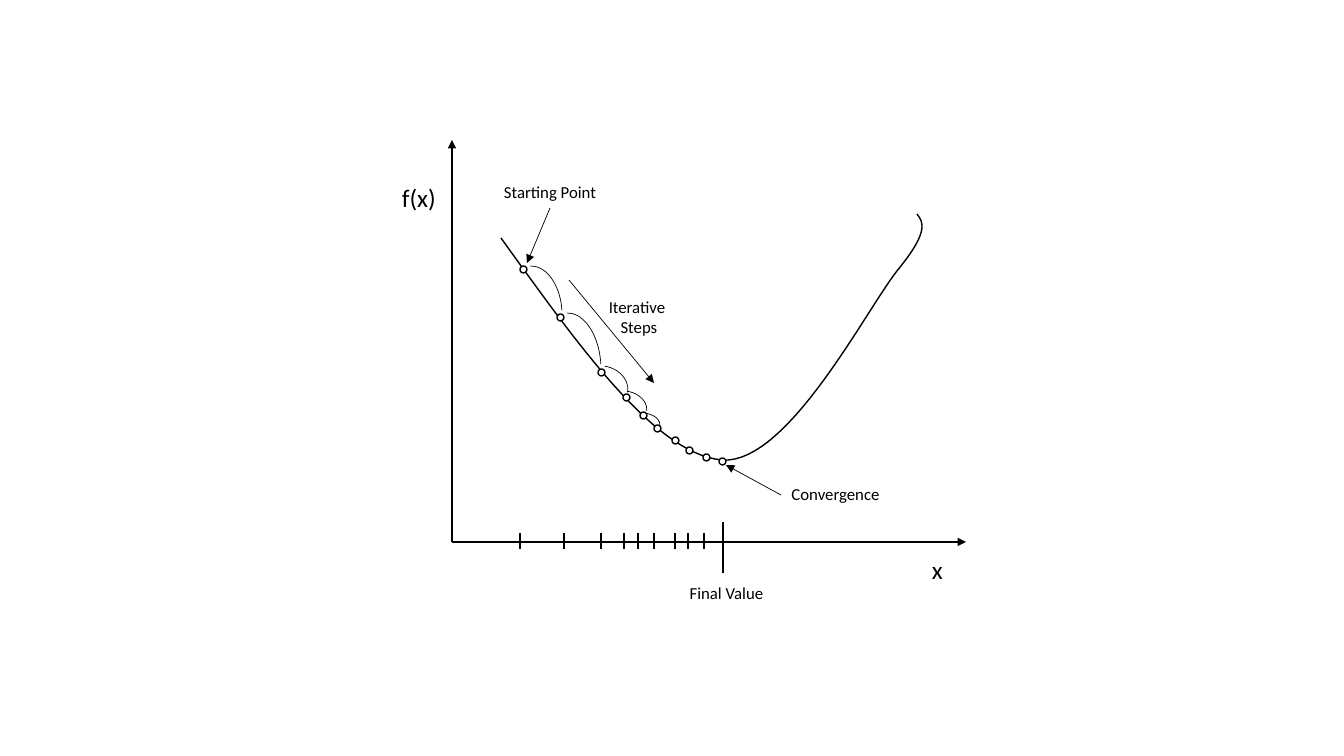
import pptx
import pptx.dml.color
import pptx.enum.shapes
import pptx.enum.text
import pptx.oxml
import pptx.oxml.ns
import pptx.util

PX = 914400 / 100.8  # EMU in one px
BLACK, WHITE = "000000", "FFFFFF"
SHAPE = pptx.enum.shapes.MSO_SHAPE

# Cubic curve: start point, then two controls and an end per segment
CURVE_START = (501, 238)
CURVE_SEGMENTS = [
    ((579, 346), (655, 454), (722, 460)),
    ((787, 465), (865, 312), (897, 271)),
    ((930, 231), (923, 222), (917, 214)),
]
STEP_POINTS = [(520, 266), (557, 314), (598, 369), (623, 394), (640, 412),
               (654, 425), (672, 437), (686, 447), (703, 454), (719, 458)]
STEP_ARCS = [(504, 266, 58, 92, -3.3), (539, 313, 62, 106, -3.3),
             (575, 366, 53, 45, 8.7), (602, 391, 45, 33, 8.7),
             (628, 413, 32, 19, 8.7)]
TICKS = [520, 564, 601, 624, 638, 654, 675, 688, 704]


def px(n):
    return pptx.util.Emu(round(n * PX))


def color(value):
    return pptx.dml.color.RGBColor.from_string(value)


def set_line(sp, width):
    sp.line.color.rgb = color(BLACK)
    sp.line.width = pptx.util.Pt(width)


def add_line(slide, x1, y1, x2, y2, width=1, arrow=False):
    kind = pptx.enum.shapes.MSO_CONNECTOR.STRAIGHT
    line = slide.shapes.add_connector(kind, px(x1), px(y1), px(x2), px(y2))
    set_line(line, width)
    if arrow:
        pptx.oxml.ns.qn("a:tailEnd")
        tail = line.line._get_or_add_ln().makeelement(
            pptx.oxml.ns.qn("a:tailEnd"), {"type": "triangle"})
        line.line._get_or_add_ln().append(tail)
    sppr = line._element.spPr
    sppr.append(sppr.makeelement(pptx.oxml.ns.qn("a:effectLst"), {}))


def add_outline(slide, kind, x, y, w, h, width=1, fill=None, rotation=0):
    sp = slide.shapes.add_shape(kind, px(x), px(y), px(w), px(h))
    sp.shadow.inherit = False
    sp.rotation = rotation
    set_line(sp, width)
    if fill:
        sp.fill.solid()
        sp.fill.fore_color.rgb = color(fill)
    else:
        sp.fill.background()


def add_text(slide, text, x, y, w, h, size=12, align="CENTER"):
    tf = slide.shapes.add_textbox(px(x), px(y), px(w), px(h)).text_frame
    tf.word_wrap = False
    tf.auto_size = pptx.enum.text.MSO_AUTO_SIZE.SHAPE_TO_FIT_TEXT
    for i, row in enumerate(text.split("\n")):
        p = tf.add_paragraph() if i else tf.paragraphs[0]
        p.alignment = getattr(pptx.enum.text.PP_ALIGN, align)
        r = p.add_run()
        r.text = row
        r.font.name = "Calibri"
        r.font.size = pptx.util.Pt(size)
        r.font.color.rgb = color(BLACK)


def bezier(points, t):
    weights = ((1 - t) ** 3, 3 * t * (1 - t) ** 2, 3 * t * t * (1 - t), t ** 3)
    return tuple(px(sum(k * c for k, c in zip(weights, axis)))
                 for axis in zip(*points))


def add_curve(slide, start, segments, steps=30):
    builder = slide.shapes.build_freeform(px(start[0]), px(start[1]))
    for segment in segments:
        points = (start, *segment)
        builder.add_line_segments(
            [bezier(points, i / steps) for i in range(1, steps + 1)], close=False)
        start = segment[-1]
    sp = builder.convert_to_shape()
    sp.shadow.inherit = False
    sp.fill.solid()
    sp.fill.fore_color.rgb = color(WHITE)
    set_line(sp, 1)


def main():
    prs = pptx.Presentation()
    prs.slide_width, prs.slide_height = px(1344), px(756)
    slide = prs.slides.add_slide(prs.slide_layouts[6])

    # Axes
    add_line(slide, 452, 542, 452, 140, arrow=True)
    add_line(slide, 452, 542, 966, 542, arrow=True)
    add_text(slide, "f(x)", 392, 177, 54, 40, size=18, align="LEFT")
    add_text(slide, "x", 922, 549, 31, 40, size=18, align="LEFT")

    # Function curve with the iteration points and the jumps between them
    add_curve(slide, CURVE_START, CURVE_SEGMENTS)
    for x, y in STEP_POINTS:
        add_outline(slide, SHAPE.OVAL, x, y, 7, 7, fill=WHITE)
    for x, y, w, h, rotation in STEP_ARCS:
        add_outline(slide, SHAPE.ARC, x, y, w, h, width=0.5, rotation=rotation)

    # Ticks on the x axis, ending at the final value
    for x in TICKS:
        add_line(slide, x, 533, x, 549)
    add_line(slide, 723, 522, 723, 573)
    add_text(slide, "Final Value", 679, 578, 95, 30)

    # Labels with arrows
    add_text(slide, "Starting Point", 493, 177, 114, 30)
    add_line(slide, 550, 208, 527, 263, width=0.5, arrow=True)
    add_text(slide, "Iterative \nSteps", 598, 292, 82, 50)
    add_line(slide, 569, 280, 654, 383, width=0.5, arrow=True)
    add_text(slide, "Convergence", 781, 479, 109, 30)
    add_line(slide, 781, 495, 726, 465, width=0.5, arrow=True)

    prs.save("out.pptx")


if __name__ == "__main__":
    main()
